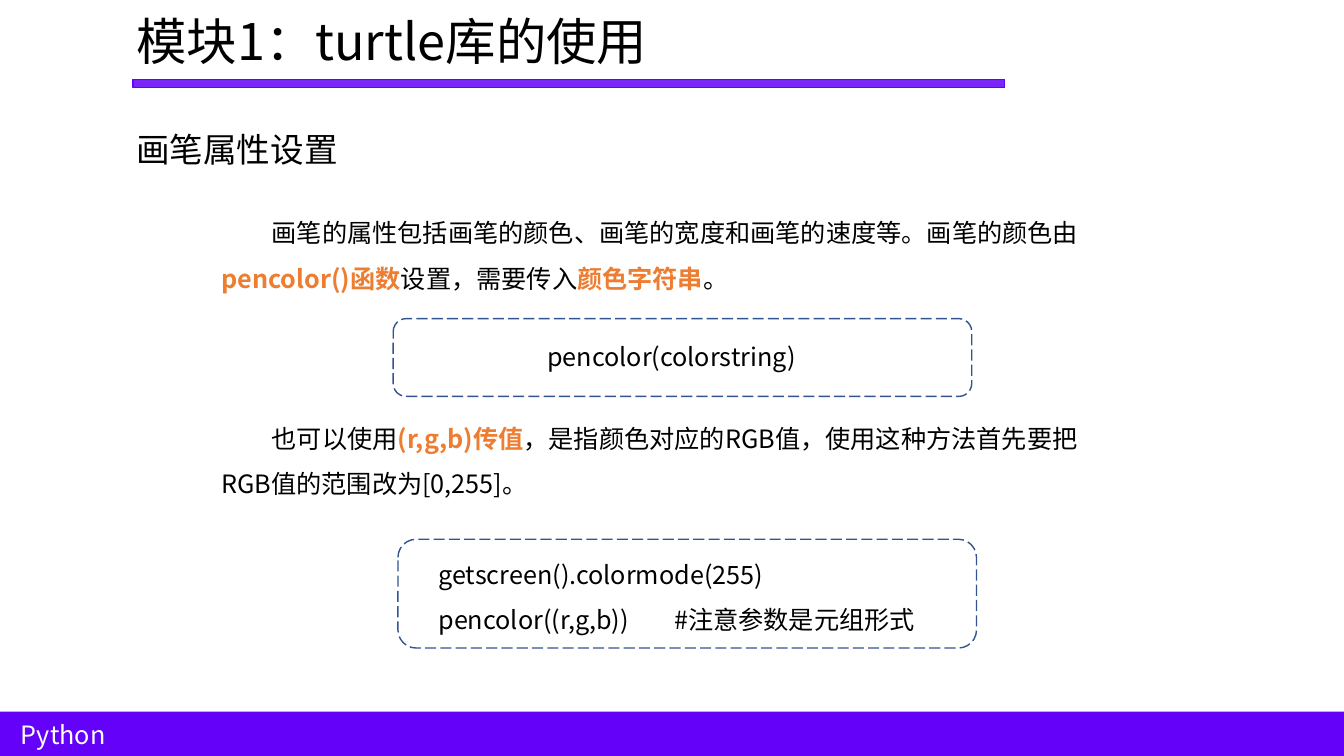
from lxml.etree import SubElement
from pptx import Presentation
from pptx.dml.color import RGBColor
from pptx.enum.dml import MSO_LINE
from pptx.enum.shapes import MSO_SHAPE as Preset
from pptx.enum.text import MSO_ANCHOR as Anchor, MSO_AUTO_SIZE as AutoSize, PP_ALIGN as Align
from pptx.oxml.ns import qn
from pptx.util import Cm, Pt

FONT = "Noto Sans CJK SC"
BLACK, WHITE = "000000", "FFFFFF"
PURPLE, ORANGE, NAVY = "6401F8", "ED7D31", "325491"


def paint(color_format, color):
    color_format.rgb = RGBColor.from_string(color)


def add_run(paragraph, text, size, color, bold):
    run = paragraph.add_run()
    run.text = text
    font = run.font
    font.size, font.bold, font.name = Pt(size), bold, FONT
    paint(font.color, color)
    SubElement(font._element, qn("a:ea"), typeface=FONT)


def add_tab_stop(paragraph, position):
    stops = SubElement(paragraph._p.get_or_add_pPr(), qn("a:tabLst"))
    SubElement(stops, qn("a:tab"), pos=str(Cm(position)), algn="l")


def write(holder, paragraphs, size=18, color=BLACK, spacing=1.0, indent=0, tab=None):
    frame = holder.text_frame
    frame.word_wrap = True
    frame.auto_size = AutoSize.NONE
    frame.vertical_anchor = Anchor.TOP
    for index, pieces in enumerate(paragraphs):
        paragraph = frame.add_paragraph() if index else frame.paragraphs[0]
        if tab:
            add_tab_stop(paragraph, tab)
        paragraph.alignment = Align.LEFT
        paragraph.line_spacing = spacing
        if indent:
            paragraph._p.get_or_add_pPr().set("indent", str(Cm(indent)))
        for position, piece in enumerate(pieces):
            emphasized = position % 2 == 1
            add_run(paragraph, piece, size, ORANGE if emphasized else color, emphasized)


def add_text(slide, left, top, width, height, paragraphs, **style):
    holder = slide.shapes.add_textbox(Cm(left), Cm(top), Cm(width), Cm(height))
    write(holder, paragraphs, **style)


def add_title(slide, left, top, width, height, text):
    title = slide.shapes.title
    title.left, title.top = Cm(left), Cm(top)
    title.width, title.height = Cm(width), Cm(height)
    write(title, [[text]], size=36)


def add_bar(slide, left, top, width, height, opacity=100):
    bar = slide.shapes.add_shape(Preset.RECTANGLE, Cm(left), Cm(top), Cm(width), Cm(height))
    bar.shadow.inherit = False
    bar.fill.solid()
    paint(bar.fill.fore_color, PURPLE)
    if opacity < 100:
        tint = bar._element.spPr.find(qn("a:solidFill"))[0]
        SubElement(tint, qn("a:alpha"), val=str(opacity * 1000))
        paint(bar.line.color, PURPLE)
        bar.line.width = Pt(1)
    else:
        bar.line.fill.background()


def add_code_frame(slide, left, top, height):
    frame = slide.shapes.add_shape(Preset.ROUNDED_RECTANGLE, Cm(left), Cm(top), Cm(14.58), Cm(height))
    frame.shadow.inherit = False
    frame.fill.background()
    paint(frame.line.color, NAVY)
    frame.line.width = Pt(1)
    frame.line.dash_style = MSO_LINE.LONG_DASH


def main():
    deck = Presentation()
    deck.slide_width, deck.slide_height = Cm(33.87), Cm(19.05)
    slide = deck.slides.add_slide(deck.slide_layouts[5])

    add_bar(slide, 3.35, 2.01, 21.97, 0.2, opacity=85)
    add_bar(slide, 0, 17.93, 33.87, 1.12)
    add_text(slide, 0.28, 18.01, 6.81, 1.04, [["Python"]], color=WHITE)
    add_title(slide, 3.18, 0.13, 15.54, 3.33, "模块1：turtle库的使用")
    add_text(slide, 3.18, 3.12, 6.53, 1.27, [["画笔属性设置"]], size=24)

    color_string = ["画笔的属性包括画笔的颜色、画笔的宽度和画笔的速度等。画笔的颜色由",
                    "pencolor()函数", "设置，需要传入", "颜色字符串", "。"]
    rgb_value = ["也可以使用", "(r,g,b)传值",
                 "，是指颜色对应的RGB值，使用这种方法首先要把RGB值的范围改为[0,255]。"]
    add_text(slide, 5.33, 4.98, 23.75, 2.57, [color_string], spacing=1.5, indent=1.27)
    add_text(slide, 5.33, 10.16, 22.58, 2.57, [rgb_value], spacing=1.5, indent=1.27)

    add_text(slide, 12.8, 8.48, 9.02, 1.02, [["pencolor(colorstring)"]], indent=0.74)
    add_code_frame(slide, 9.91, 8.03, 1.96)

    rgb_code = [["getscreen().colormode(255)"], ["pencolor((r,g,b))\t#注意参数是元组形式"]]
    add_text(slide, 10.8, 13.59, 14.12, 2.57, rgb_code, spacing=1.5, tab=5.94)
    add_code_frame(slide, 10.03, 13.59, 2.74)

    deck.save("out.pptx")


if __name__ == "__main__":
    main()
